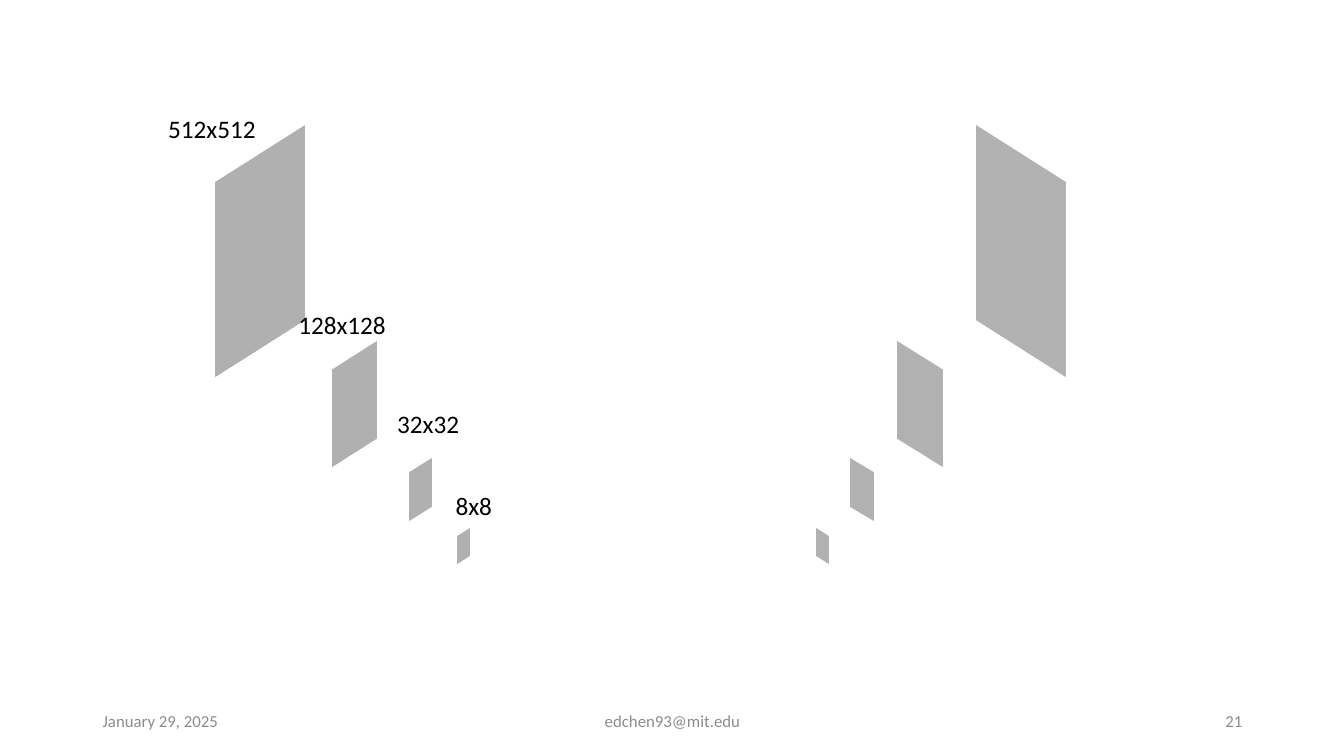
from lxml import etree
from pptx import Presentation
from pptx.dml.color import RGBColor
from pptx.enum.shapes import MSO_SHAPE
from pptx.enum.text import MSO_ANCHOR, PP_ALIGN
from pptx.oxml.ns import qn
from pptx.util import Inches, Pt

RECTANGLE = MSO_SHAPE.RECTANGLE
LEFT, CENTER, RIGHT = PP_ALIGN.LEFT, PP_ALIGN.CENTER, PP_ALIGN.RIGHT
TOP, MIDDLE = MSO_ANCHOR.TOP, MSO_ANCHOR.MIDDLE
FONT = "Calibri"
COLORS = {"layer": "808080", "outline": "1E3256", "label": "000000", "footer": "8C8C8C"}
LAYER_OPACITY = 40

# camera preset and its turn about the vertical axis, in degrees
ENCODER_VIEW = ("isometricOffAxis2Right", 296)
DECODER_VIEW = ("isometricOffAxis1Left", 64)
TILT = 18
ANGLE_UNIT = 60000

# side, top, encoder left, decoder left
LAYERS = [
    (2.02, 1.48, 1.57, 9.12),
    (1.01, 3.5, 3.01, 8.62),
    (0.5, 4.61, 3.92, 8.3),
    (0.28, 5.28, 4.46, 8.02),
]
# text, left, top, width
LABELS = [
    ("512x512", 1.57, 1.08, 1.08),
    ("128x128", 2.86, 3.02, 1.08),
    ("32x32", 3.84, 4.0, 0.82),
    ("8x8", 4.42, 4.82, 0.57),
]
# text, left, width, alignment
FOOTER = [
    ("January 29, 2025", 0.92, 3, LEFT),
    ("edchen93@mit.edu", 4.42, 4.5, CENTER),
    ("21", 9.42, 3, RIGHT),
]


def add_text(slide, text, box, size, color, align=LEFT, anchor=TOP, wrap=True):
    frame = slide.shapes.add_textbox(*map(Inches, box)).text_frame
    frame.word_wrap = wrap
    frame.vertical_anchor = anchor
    frame.text = text
    paragraph = frame.paragraphs[0]
    paragraph.alignment = align
    font = paragraph.runs[0].font
    font.name = FONT
    font.size = Pt(size)
    font.color.rgb = RGBColor.from_string(COLORS[color])


def turn_in_space(shape, view):
    preset, turn = view
    scene = etree.SubElement(shape._element.spPr, qn("a:scene3d"))
    camera = etree.SubElement(scene, qn("a:camera"), prst=preset)
    etree.SubElement(camera, qn("a:rot"), lat=str(TILT * ANGLE_UNIT),
                     lon=str(turn * ANGLE_UNIT), rev="0")
    etree.SubElement(scene, qn("a:lightRig"), rig="threePt", dir="t")


def add_layer(slide, left, top, side, view):
    """Draw a translucent square, turned in space."""
    layer = slide.shapes.add_shape(RECTANGLE, *map(Inches, (left, top, side, side)))
    layer.fill.solid()
    layer.fill.fore_color.rgb = RGBColor.from_string(COLORS["layer"])
    color = layer._element.spPr.find(qn("a:solidFill"))[0]
    etree.SubElement(color, qn("a:alpha"), val=str(LAYER_OPACITY * 1000))
    layer.line.color.rgb = RGBColor.from_string(COLORS["outline"])
    layer.line.width = Pt(1)
    layer.shadow.inherit = False
    turn_in_space(layer, view)


def add_network(slide):
    for side, top, encoder_left, decoder_left in LAYERS:
        add_layer(slide, encoder_left, top, side, ENCODER_VIEW)
        add_layer(slide, decoder_left, top, side, DECODER_VIEW)
    for text, left, top, width in LABELS:
        add_text(slide, text, (left, top, width, 0.4), 18, "label", wrap=False)


def add_footer(slide, top, height):
    for text, left, width, align in FOOTER:
        add_text(slide, text, (left, top, width, height), 12, "footer", align, MIDDLE)


def main():
    deck = Presentation()
    deck.slide_width = Inches(13.33)
    deck.slide_height = Inches(7.5)
    slide = deck.slides.add_slide(deck.slide_layouts[6])
    add_footer(slide, 6.95, 0.4)
    add_network(slide)
    deck.save("out.pptx")


if __name__ == "__main__":
    main()
